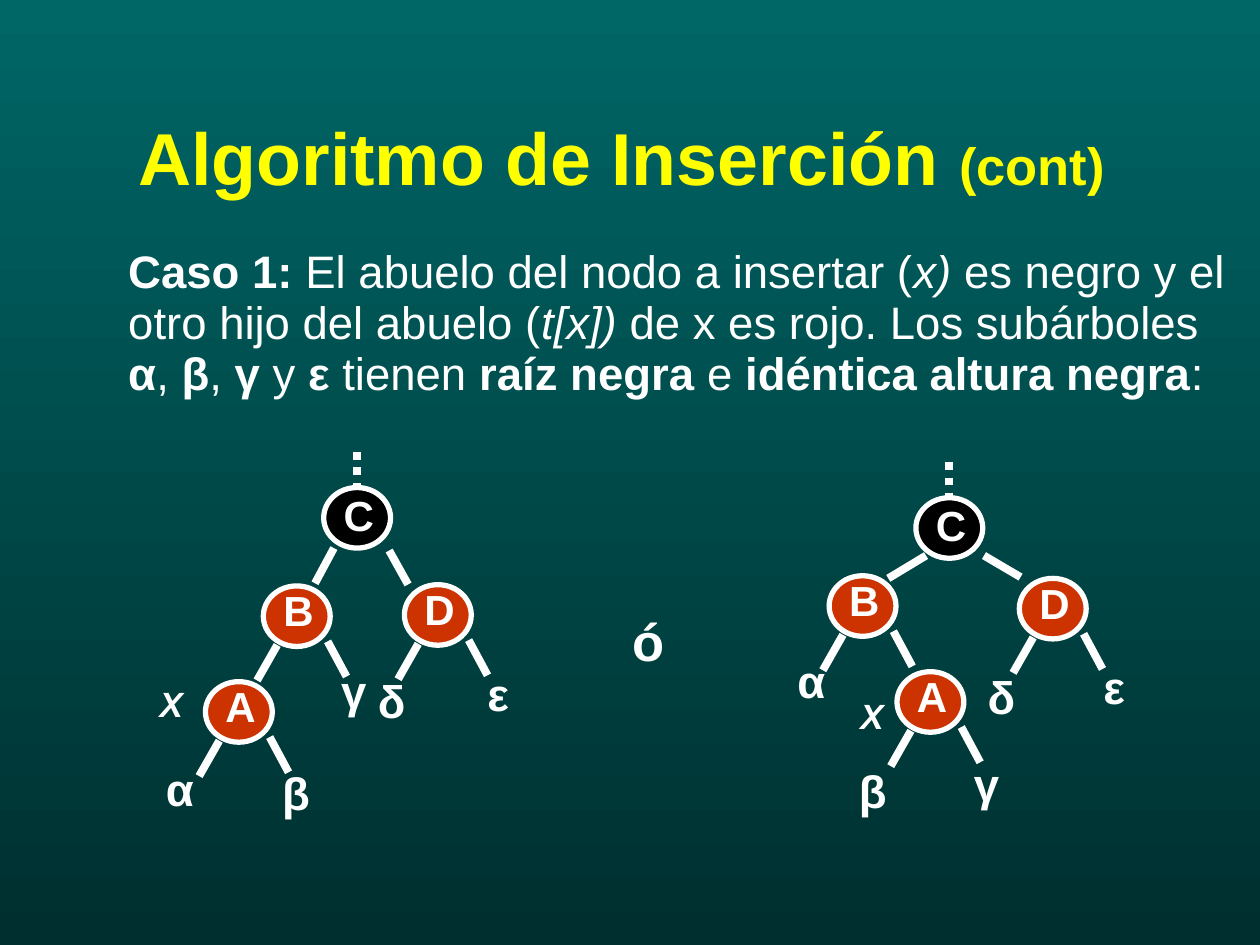
import pptx
import pptx.util
import pptx.dml.color
import pptx.enum.dml
import pptx.enum.shapes
import pptx.enum.text
import pptx.oxml.ns
import lxml.etree

Pt = pptx.util.Pt

THEME = {
    "font": "Arial", "top": "006666", "bottom": "002F2F",
    "title": "FFFF00", "text": "FFFFFF", "red": "CC3300", "black": "000000",
    "title_size": 42, "cont_size": 30, "body_size": 26, "node_size": 24,
    "leaf_size": 26, "mark_size": 20, "or_size": 30,
    "ring": 3, "branch": 4.5,
}

# Content: runs are (text, style), style "b" bold, "i" italic
TITLE = [("Algoritmo de Inserción ", "b"), ("(cont)", "bs")]
CASE = [
    ("Caso 1:", "b"), (" El abuelo del nodo a insertar (", ""), ("x) ", "i"),
    ("es negro y el otro hijo del abuelo (", ""), ("t[x])", "i"),
    (" de x es rojo. Los subárboles ", ""), ("α", "b"), (", ", ""),
    ("β", "b"), (", ", ""), ("γ", "b"), (" y ", ""), ("ε", "b"),
    (" tienen ", ""), ("raíz negra", "b"), (" e ", ""),
    ("idéntica altura negra", "b"), (":", ""),
]

# Branches as (x1, y1, x2, y2), measured from the node's top left corner
BRANCHES = [(7.9, 33.8, -3.6, 54), (36.7, 31.7, 47.5, 51.8)]
TREES = [
    {"nodes": {"A": (117.4, 389.5), "B": (150.5, 334.8),
               "C": (185, 278.6), "D": (231.1, 334.1)},
     "root_branches": [(5.8, 34.6, -5, 54.7), (37.4, 36, 48.2, 55.4)],
     "leaves": {"α": (87.8, 431.3), "β": (154.1, 433.4), "γ": (187.9, 375.1),
                "δ": (208.8, 380.9), "ε": (271.4, 377.3)},
     "mark": (84.2, 388.8)},
    {"nodes": {"A": (512.6, 383.8), "B": (473.8, 329),
               "C": (523.4, 284.4), "D": (582.5, 330.5)},
     "root_branches": [(5.8, 33.1, -15.8, 46.1), (38.9, 33.1, 59.8, 45.4)],
     "leaves": {"α": (448.6, 369.4), "β": (483.8, 432.7), "γ": (549.4, 428.4),
                "δ": (557.3, 378.7), "ε": (623.5, 373)},
     "mark": (484.6, 395.3)},
]
ROOT = "C"
NODE_W, NODE_H = 38.2, 34.6


def rgb(name):
    return pptx.dml.color.RGBColor.from_string(THEME[name])


def add_text(shapes, runs, left, top, width, height, *, size, small=None,
             color="text", spacing=1.0, middle=False):
    box = shapes.add_textbox(Pt(left), Pt(top), Pt(width), Pt(height))
    frame = box.text_frame
    frame.word_wrap = True
    if middle:
        frame.vertical_anchor = pptx.enum.text.MSO_ANCHOR.MIDDLE
    paragraph = frame.paragraphs[0]
    paragraph.line_spacing = spacing
    for words, style in runs:
        run = paragraph.add_run()
        run.text = words
        run.font.name = THEME["font"]
        run.font.size = Pt(THEME[small if "s" in style else size])
        run.font.bold = "b" in style
        run.font.italic = "i" in style
        run.font.color.rgb = rgb(color)


def add_branch(shapes, x, y, branch, dotted=False):
    x1, y1, x2, y2 = branch
    line = shapes.add_connector(
        pptx.enum.shapes.MSO_CONNECTOR.STRAIGHT,
        Pt(x + x1), Pt(y + y1), Pt(x + x2), Pt(y + y2))
    line.line.color.rgb = rgb("text")
    line.line.width = Pt(THEME["branch"])
    if dotted:
        line.line.dash_style = pptx.enum.dml.MSO_LINE.ROUND_DOT
    lxml.etree.SubElement(line._element.spPr, pptx.oxml.ns.qn("a:effectLst"))


def add_node(shapes, letter, x, y):
    is_root = letter == ROOT
    circle = shapes.add_shape(pptx.enum.shapes.MSO_SHAPE.OVAL,
                              Pt(x), Pt(y), Pt(NODE_W), Pt(NODE_H))
    circle.shadow.inherit = False
    circle.fill.solid()
    circle.fill.fore_color.rgb = rgb("black" if is_root else "red")
    circle.line.color.rgb = rgb("text")
    circle.line.width = Pt(THEME["ring"])
    add_text(shapes, [(letter, "b")], x + 4.3, y if is_root else y - 1.6,
             34.6, 33.8, size="node_size", spacing=0.93)


def add_tree(slide, tree):
    shapes = slide.shapes.add_group_shape().shapes
    for letter, (x, y) in tree["nodes"].items():
        add_node(shapes, letter, x, y)
    for letter, (x, y) in tree["nodes"].items():
        # D, B and A share one branch shape; the root has its own
        for branch in tree["root_branches"] if letter == ROOT else BRANCHES:
            add_branch(shapes, x, y, branch)
    # Dotted link to the rest of the tree
    add_branch(shapes, *tree["nodes"][ROOT],
               (NODE_W / 2, -20.5, NODE_W / 2, -0.7), dotted=True)
    for letter, (x, y) in tree["leaves"].items():
        add_text(shapes, [(letter, "b")], x, y, 31, 38.9, size="leaf_size")
    add_text(shapes, [("X", "bi")], *tree["mark"], 36, 29.5,
             size="mark_size", spacing=0.93)


def main():
    deck = pptx.Presentation()
    deck.slide_width, deck.slide_height = Pt(720), Pt(540)
    slide = deck.slides.add_slide(deck.slide_layouts[6])

    # Background, dark towards the bottom
    fill = slide.background.fill
    fill.gradient()
    fill.gradient_angle = 270
    for stop, name in zip(fill.gradient_stops, ("top", "bottom")):
        stop.color.rgb = rgb(name)

    # Title and case
    add_text(slide.shapes, TITLE, 72, 48.2, 648, 90, size="title_size",
             small="cont_size", color="title", spacing=0.85, middle=True)
    add_text(slide.shapes, CASE, 66.2, 138.2, 653.8, 141.8,
             size="body_size", spacing=0.93)

    # The two trees and the word between them
    for tree in TREES:
        add_tree(slide, tree)
    add_text(slide.shapes, [("ó", "b")], 354.2, 347.8, 30.2, 41,
             size="or_size", spacing=0.93)

    deck.save("out.pptx")


if __name__ == "__main__":
    main()
